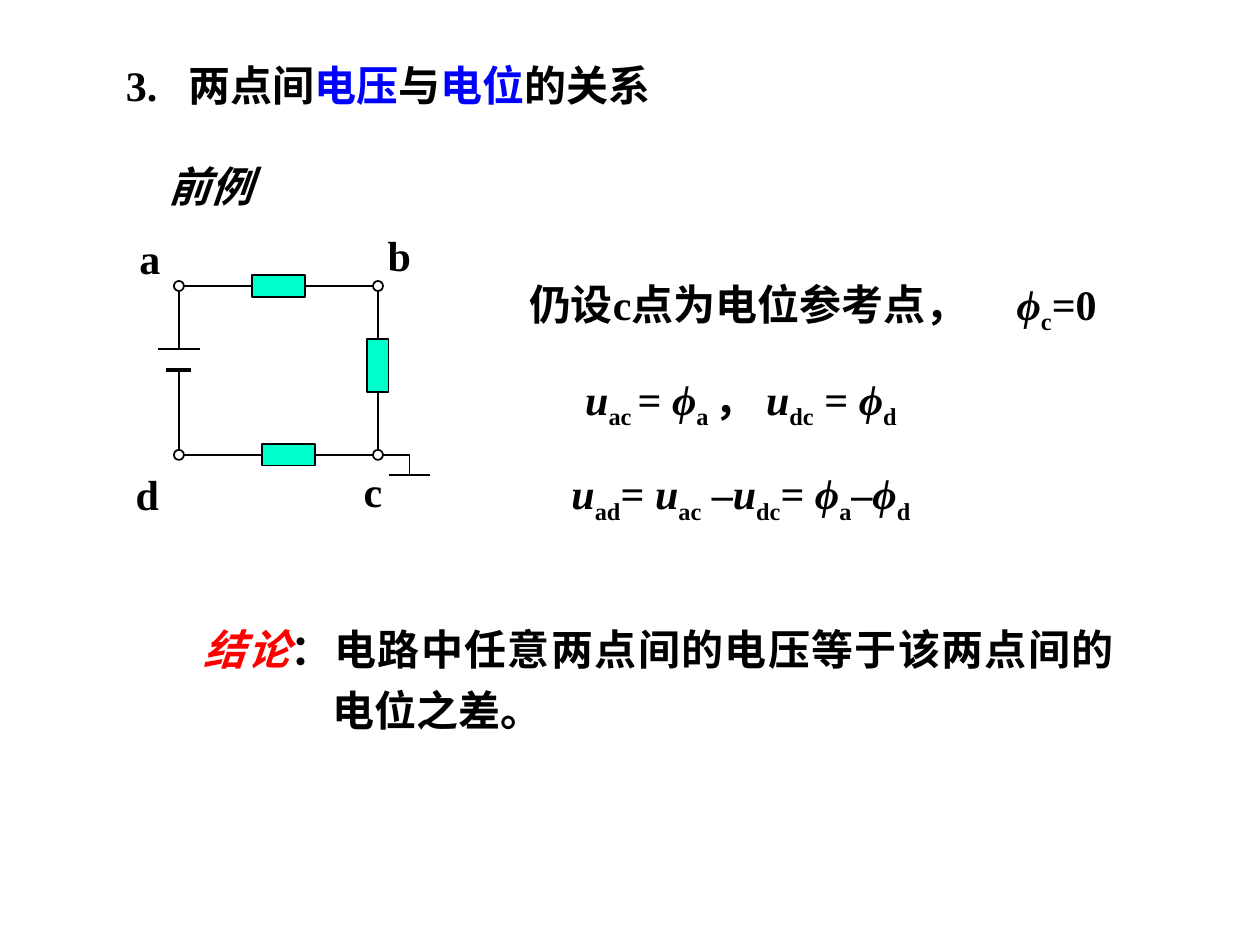
from lxml.etree import SubElement
from pptx import Presentation
from pptx.dml.color import RGBColor
from pptx.enum.shapes import MSO_CONNECTOR as CONN, MSO_SHAPE as SHAPE
from pptx.enum.text import MSO_ANCHOR as ANCHOR, PP_ALIGN as ALIGN
from pptx.oxml.ns import qn
from pptx.util import Inches, Pt

COLORS = {"black": "000000", "blue": "0000FF", "red": "FF0000",
          "resistor": "00FFCC", "node": "FFFFFF"}


def rgb(name):
    """Return the named colour."""
    return RGBColor.from_string(COLORS[name])


def add_text(shapes, box, runs, align=ALIGN.CENTER, margin=0, indent=0):
    """Add one bold paragraph of (text, style) runs and return it."""
    tf = shapes.add_textbox(*map(Inches, box)).text_frame
    tf.word_wrap = True
    tf.vertical_anchor = ANCHOR.MIDDLE
    p = tf.paragraphs[0]
    p.alignment = align
    if margin:
        pPr = p._p.get_or_add_pPr()
        pPr.set("marL", str(Inches(margin)))
        pPr.set("indent", str(Inches(indent)))
    p.font.name, p.font.size, p.font.bold = "Times New Roman", Pt(24), True
    for text, style in runs:
        r = p.add_run()
        r.text = text
        r.font.color.rgb = rgb(style if style in COLORS else "black")
        if style in ("italic", "red"):
            r.font.italic = True
        if style == "sub":
            r._r.get_or_add_rPr().set("baseline", "-25000")
    return p


def set_line(shape, width=1):
    """Give a shape a plain black outline."""
    shape.line.color.rgb = rgb("black")
    shape.line.width = Pt(width)


def add_part(shapes, kind, cx, cy, w, h, color):
    """Add a filled circuit part around its centre."""
    sp = shapes.add_shape(kind, *map(Inches, (cx - w / 2, cy - h / 2, w, h)))
    sp.shadow.inherit = False
    sp.fill.solid()
    sp.fill.fore_color.rgb = rgb(color)
    set_line(sp)


def add_plate(shapes, cx, y, w, width=1):
    """Add a horizontal plate centred on a wire."""
    line = shapes.add_connector(
        CONN.STRAIGHT, *map(Inches, (cx - w / 2, y, cx + w / 2, y)))
    SubElement(line._element.spPr, qn("a:effectLst"))
    set_line(line, width)


def add_wire(shapes, *points):
    """Add an open wire through the points."""
    start, *rest = [(Inches(x), Inches(y)) for x, y in points]
    builder = shapes.build_freeform(*start)
    builder.add_line_segments(rest, close=False)
    wire = builder.convert_to_shape()
    wire.shadow.inherit = False
    wire.fill.background()
    set_line(wire)


def add_circuit(s, x, y):
    """Draw the circuit loop, its ground and its node labels."""
    shapes = s.shapes.add_group_shape().shapes
    left, right, top, bottom = x + 0.5, x + 2.08, y + 0.49, y + 1.83
    plus, minus, ground = top + 0.5, top + 0.67, bottom + 0.16
    length, thick = 0.42, 0.17
    top_x, bottom_x, side_y = left + 0.79, left + 0.87, top + 0.63

    add_wire(shapes, (left, plus), (left, top), (top_x - length / 2, top))
    add_wire(shapes, (top_x + length / 2, top), (right, top),
             (right, side_y - length / 2))
    add_wire(shapes, (left, minus), (left, bottom),
             (bottom_x - length / 2, bottom))
    add_wire(shapes, (bottom_x + length / 2, bottom), (right, bottom),
             (right, side_y + length / 2))
    add_wire(shapes, (right, bottom), (right + 0.25, bottom),
             (right + 0.25, ground))

    add_plate(shapes, left, plus, 0.33)
    add_plate(shapes, left, minus, 0.2, 2.25)
    add_plate(shapes, right + 0.25, ground, 0.33)

    for cx, cy, w, h in ((top_x, top, length, thick),
                         (bottom_x, bottom, length, thick),
                         (right, side_y, thick, length)):
        add_part(shapes, SHAPE.RECTANGLE, cx, cy, w, h, "resistor")
    for cx in (left, right):
        for cy in (top, bottom):
            add_part(shapes, SHAPE.OVAL, cx, cy, 0.08, 0.08, "node")

    for name, dx, dy, w in (("a", 0, 0.02, 0.54), ("b", 2, 0, 0.5),
                            ("c", 1.83, 1.87, 0.42), ("d", 0, 1.89, 0.5)):
        add_text(shapes, (x + dx, y + dy, w, 0.49), [(name, "black")])


def symbol(letter, index):
    """Return the runs of an italic letter with a subscript."""
    return [(letter, "italic"), (index, "sub")]


def add_heading(s, x, y):
    """Add the numbered title and the example caption."""
    add_text(s.shapes, (x, y, 5.17, 0.5),
             [("3.\t两点间", "black"), ("电压", "blue"), ("与", "black"),
              ("电位", "blue"), ("的关系", "black")], ALIGN.LEFT, 0.9, -0.5)
    add_text(s.shapes, (x + 0.42, y + 0.81, 1.5, 0.49), [("前例", "italic")])


def add_equations(s, x, y):
    """Add the reference point and the two voltage equations."""
    add_text(s.shapes, (x, y, 5.08, 0.49),
             [("仍设c点为电位参考点，\t", "black"), *symbol("ϕ", "c"),
              ("=0", "black")], ALIGN.LEFT, 4.05, -3.87)
    equations = (
        [*symbol("u", "ac "), ("= ", "black"), *symbol("ϕ", "a "),
         ("， ", "black"), *symbol("u", "dc"), (" = ", "black"),
         *symbol("ϕ", "d")],
        [*symbol("u", "ad"), ("= ", "black"), *symbol("u", "ac"),
         (" –", "black"), *symbol("u", "dc"), ("= ", "black"),
         *symbol("ϕ", "a"), ("–", "black"), *symbol("ϕ", "d")],
    )
    for row, runs in enumerate(equations, 1):
        add_text(s.shapes, (x, y + row * 0.75, 3.92, 0.5), runs)


def add_conclusion(s, x, y):
    """Add the conclusion with its hanging label."""
    p = add_text(s.shapes, (x, y, 7.42, 1.04),
                 [("结论", "red"),
                  ("：电路中任意两点间的电压等于该两点间的电位之差。", "black")],
                 ALIGN.JUSTIFY, 1.02, -1.02)
    p.line_spacing = 1.2


def main():
    """Build and save the slide."""
    prs = Presentation()
    prs.slide_width, prs.slide_height = Inches(10), Inches(7.5)
    s = prs.slides.add_slide(prs.slide_layouts[6])
    add_heading(s, 0.5, 0.42)
    add_circuit(s, 0.92, 1.78)
    add_equations(s, 3.92, 2.19)
    add_conclusion(s, 1.52, 4.83)
    prs.save("out.pptx")


if __name__ == "__main__":
    main()
